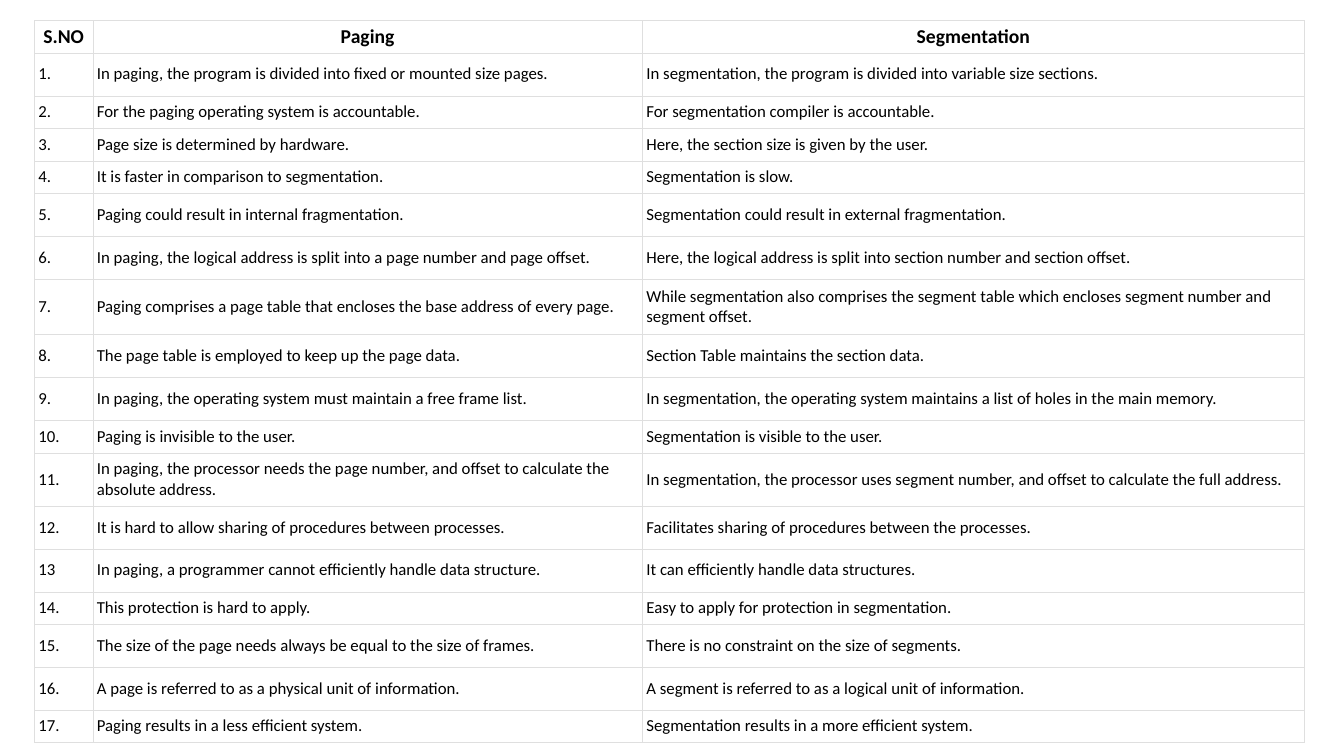
from pptx import Presentation
from pptx.dml.color import RGBColor
from pptx.enum.text import MSO_ANCHOR, PP_ALIGN
from pptx.oxml.ns import qn
from pptx.util import Cm, Pt
from lxml.etree import SubElement

COLORS = {"text": "000000", "border": "DFDFDF"}
FONT = "Calibri"

# Row heights in cm
SHORT, TALL, WRAP_LEFT, WRAP_RIGHT = 0.82, 1.08, 1.34, 1.4
COLUMN_WIDTHS = (1.47, 13.85, 16.68)
HEADER = ("S.NO", "Paging", "Segmentation")
ROWS = [
    (TALL, "1.", "In paging, the program is divided into fixed or mounted size pages.",
     "In segmentation, the program is divided into variable size sections."),
    (SHORT, "2.", "For the paging operating system is accountable.",
     "For segmentation compiler is accountable."),
    (SHORT, "3.", "Page size is determined by hardware.",
     "Here, the section size is given by the user."),
    (SHORT, "4.", "It is faster in comparison to segmentation.",
     "Segmentation is slow."),
    (TALL, "5.", "Paging could result in internal fragmentation.",
     "Segmentation could result in external fragmentation."),
    (TALL, "6.", "In paging, the logical address is split into a page number and page offset.",
     "Here, the logical address is split into section number and section offset."),
    (WRAP_RIGHT, "7.", "Paging comprises a page table that encloses the base address of every page.",
     "While segmentation also comprises the segment table which encloses segment number "
     "and segment offset."),
    (TALL, "8.", "The page table is employed to keep up the page data.",
     "Section Table maintains the section data."),
    (TALL, "9.", "In paging, the operating system must maintain a free frame list.",
     "In segmentation, the operating system maintains a list of holes in the main memory."),
    (SHORT, "10.", "Paging is invisible to the user.",
     "Segmentation is visible to the user."),
    (WRAP_LEFT, "11.", "In paging, the processor needs the page number, and offset to calculate "
     "the absolute address.",
     "In segmentation, the processor uses segment number, and offset to calculate "
     "the full address."),
    (TALL, "12.", "It is hard to allow sharing of procedures between processes.",
     "Facilitates sharing of procedures between the processes."),
    (TALL, "13", "In paging, a programmer cannot efficiently handle data structure.",
     "It can efficiently handle data structures."),
    (SHORT, "14.", "This protection is hard to apply.",
     "Easy to apply for protection in segmentation."),
    (TALL, "15.", "The size of the page needs always be equal to the size of frames.",
     "There is no constraint on the size of segments."),
    (TALL, "16.", "A page is referred to as a physical unit of information.",
     "A segment is referred to as a logical unit of information."),
    (SHORT, "17.", "Paging results in a less efficient system.",
     "Segmentation results in a more efficient system."),
]


def write_text(tf, text, size=12, bold=False, align=PP_ALIGN.LEFT):
    p = tf.paragraphs[0]
    p.alignment = align
    r = p.add_run()
    r.text = text
    r.font.name = FONT
    r.font.size = Pt(size)
    r.font.bold = bold
    r.font.color.rgb = RGBColor.from_string(COLORS["text"])


def set_borders(cell, width=0.25):
    tc_pr = cell._tc.get_or_add_tcPr()
    for side in ("lnL", "lnR", "lnT", "lnB"):
        ln = SubElement(tc_pr, qn(f"a:{side}"), w=str(Pt(width)))
        fill = SubElement(ln, qn("a:solidFill"))
        SubElement(fill, qn("a:srgbClr"), val=COLORS["border"])


def format_cell(cell, margin_x, margin_y):
    cell.vertical_anchor = MSO_ANCHOR.MIDDLE
    cell.margin_left = cell.margin_right = Cm(margin_x)
    cell.margin_top = cell.margin_bottom = Cm(margin_y)
    set_borders(cell)
    cell.fill.background()


def add_comparison_table(slide, left, top):
    heights = [SHORT] + [row[0] for row in ROWS]
    table = slide.shapes.add_table(
        len(heights), len(HEADER), Cm(left), Cm(top),
        Cm(sum(COLUMN_WIDTHS)), Cm(sum(heights))).table
    table.horz_banding = False
    for column, width in zip(table.columns, COLUMN_WIDTHS):
        column.width = Cm(width)
    for row, height in zip(table.rows, heights):
        row.height = Cm(height)

    for j, title in enumerate(HEADER):
        cell = table.cell(0, j)
        format_cell(cell, margin_x=0.1 if j else 0.05, margin_y=0.1)
        write_text(cell.text_frame, title, size=14, bold=True, align=PP_ALIGN.CENTER)
    for i, (_, *texts) in enumerate(ROWS, start=1):
        for j, text in enumerate(texts):
            cell = table.cell(i, j)
            format_cell(cell, margin_x=0.1, margin_y=0.15)
            write_text(cell.text_frame, text)


def main():
    prs = Presentation()
    prs.slide_width, prs.slide_height = Cm(33.87), Cm(19.05)
    s = prs.slides.add_slide(prs.slide_layouts[6])
    add_comparison_table(s, left=0.87, top=0.51)
    prs.save("out.pptx")


if __name__ == "__main__":
    main()
